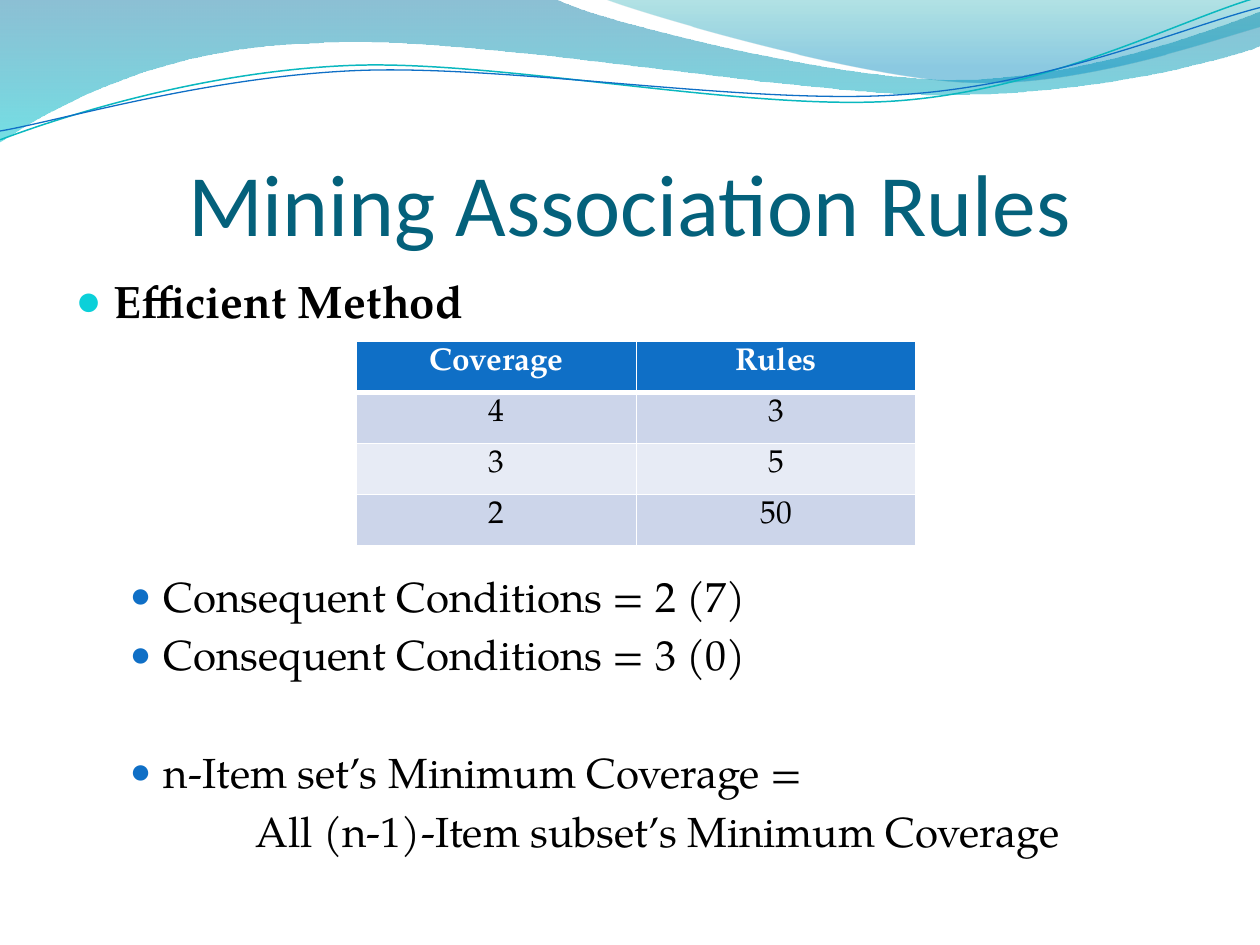
from dataclasses import dataclass
from math import cos, radians, sin
from typing import Optional

from lxml.etree import Element, SubElement
from pptx import Presentation
from pptx.dml.color import RGBColor
from pptx.enum.text import MSO_ANCHOR, MSO_AUTO_SIZE, PP_ALIGN
from pptx.oxml.ns import qn
from pptx.util import Inches, Pt

TEAL = RGBColor(0x04, 0x61, 0x7B)
CYAN = RGBColor(0x0B, 0xD0, 0xD9)
BLUE = RGBColor(0x0F, 0x6F, 0xC6)
GREEN = RGBColor(0x0A, 0xB8, 0xBF)
BLACK = RGBColor(0, 0, 0)
WHITE = RGBColor(0xFF, 0xFF, 0xFF)
BAND_DARK = RGBColor(0xCC, 0xD5, 0xEA)
BAND_LIGHT = RGBColor(0xE7, 0xEB, 0xF5)
TITLE_FONT = "Calibri"
BODY_FONT = "TeX Gyre Pagella"
LINE_PITCH = 33.4
TILT = 357.3
TILT_CENTER = (4.99, 0.58)


@dataclass
class Stop:
    position: float
    color: RGBColor
    opacity: int


@dataclass
class Wave:
    """Segments hold one end point, or two control points and an end point."""
    start: tuple
    segments: list
    stops: tuple = ()
    line_color: Optional[RGBColor] = None
    line_width: float = 0
    rotation: float = 0


@dataclass
class Item:
    text: str
    size: int
    left: float
    hanging: float = 0
    bullet_color: Optional[RGBColor] = None
    bullet_percent: int = 85
    level: int = 1
    bold: bool = False
    skipped_lines: int = 0


WAVES = [
    Wave((0, 0), [
        (4.4, -0.01),
        (4.76, 0.17, 6.64, 0.63, 7.58, 0.63),
        (8.53, 0.63, 9.58, 0.26, 10, 0.09),
        (10.01, 0.36),
        (9.83, 0.44, 8.7, 0.76, 7.46, 0.75),
        (6.22, 0.75, 3.82, 0.28, 2.57, 0.34),
        (1.29, 0.36, 0.46, 0.83, -0.01, 1.13),
        (0, 0),
    ], stops=(Stop(0, RGBColor(0x00, 0x74, 0xA1), 45), Stop(1, RGBColor(0x00, 0xC6, 0xCF), 55))),
    Wave((4.79, -0.01), [
        (5.09, 0.11, 6.82, 0.62, 7.69, 0.65),
        (8.56, 0.69, 9.61, 0.32, 10, 0.21),
        (10, 0),
        (4.79, -0.01),
    ], stops=(Stop(0, RGBColor(0x00, 0xA1, 0xA9), 30), Stop(0.8, RGBColor(0x00, 0x8B, 0xBF), 45))),
    Wave((0, 1.11), [
        (0.48, 0.93, 1.58, 0.57, 2.77, 0.52),
        (3.95, 0.47, 5.93, 0.89, 7.13, 0.8),
        (8.33, 0.71, 9.38, 0.15, 9.98, -0.02),
    ], line_color=GREEN, line_width=0.85, rotation=TILT),
    Wave((0, 1.04), [
        (0.47, 0.96, 1.64, 0.61, 2.83, 0.56),
        (4.03, 0.51, 5.97, 0.84, 7.17, 0.75),
        (8.36, 0.67, 9.41, 0.21, 10, 0.06),
    ], line_color=BLUE, line_width=0.75, rotation=TILT),
]

ITEMS = [
    Item("Efficient Method", 26, 0.3, 0.3, CYAN, 95, level=0, bold=True),
    Item("Consequent Conditions = 2 (7)", 24, 0.7, 0.27, BLUE, skipped_lines=4),
    Item("Consequent Conditions = 3 (0)", 24, 0.7, 0.27, BLUE),
    Item("n-Item set’s Minimum Coverage =", 24, 0.7, 0.27, BLUE, skipped_lines=1),
    Item("All (n-1)-Item subset’s Minimum Coverage", 24, 1.43),
]

ROWS = [("Coverage", "Rules"), ("4", "3"), ("3", "5"), ("2", "50")]


def level_points(numbers: tuple, rotation: float) -> list:
    """Pair up coordinates as they lie before the shape is rotated."""
    angle = radians(-rotation)
    points = []
    for x, y in zip(numbers[::2], numbers[1::2]):
        across, down = x - TILT_CENTER[0], y - TILT_CENTER[1]
        points.append((Inches(TILT_CENTER[0] + across * cos(angle) - down * sin(angle)),
                       Inches(TILT_CENTER[1] + across * sin(angle) + down * cos(angle))))
    return points


def bend(shape, segments: list) -> None:
    """Turn the straight segments that have control points into cubic curves."""
    for straight, points in zip(list(shape.element.iter(qn("a:lnTo"))), segments):
        if len(points) == 3:
            curve = Element(qn("a:cubicBezTo"))
            for x, y in points:
                SubElement(curve, qn("a:pt"), x=str(x - shape.left), y=str(y - shape.top))
            straight.getparent().replace(straight, curve)


def draw_wave(page, wave: Wave) -> None:
    start = level_points(wave.start, wave.rotation)[0]
    segments = [level_points(segment, wave.rotation) for segment in wave.segments]
    builder = page.shapes.build_freeform(*start)
    builder.add_line_segments([points[-1] for points in segments], close=bool(wave.stops))
    shape = builder.convert_to_shape()
    bend(shape, segments)
    shape.rotation = wave.rotation
    shape.shadow.inherit = False
    if not wave.stops:
        shape.fill.background()
        shape.line.color.rgb = wave.line_color
        shape.line.width = Pt(wave.line_width)
        return
    shape.line.fill.background()
    shape.fill.gradient()
    shape.fill.gradient_angle = 270
    for target, stop in zip(shape.fill.gradient_stops, wave.stops):
        target.position = stop.position
        target.color.rgb = stop.color
    for color, stop in zip(shape.element.iter(qn("a:srgbClr")), wave.stops):
        SubElement(color, qn("a:alpha"), val=str(stop.opacity * 1000))


def place(box, left: float, top: float, width: float, height: float) -> None:
    box.left, box.top = Inches(left), Inches(top)
    box.width, box.height = Inches(width), Inches(height)
    box.text_frame.auto_size = MSO_AUTO_SIZE.NONE
    box.text_frame.word_wrap = True


def add_span(para, text: str, font: str, size: int, color: RGBColor, bold: bool = False) -> None:
    span = para.add_run()
    span.text = text
    span.font.name = font
    span.font.size = Pt(size)
    span.font.color.rgb = color
    span.font.bold = bold


def write_item(para, item: Item) -> None:
    para.level = item.level
    para.alignment = PP_ALIGN.LEFT
    para.space_before = Pt(round(item.size * 0.2 + item.skipped_lines * LINE_PITCH, 1))
    properties = para._p.get_or_add_pPr()
    properties.set("marL", str(Inches(item.left)))
    properties.set("indent", str(-Inches(item.hanging)))
    if item.bullet_color is None:
        SubElement(properties, qn("a:buNone"))
    else:
        color = SubElement(properties, qn("a:buClr"))
        SubElement(color, qn("a:srgbClr"), val=str(item.bullet_color))
        SubElement(properties, qn("a:buSzPct"), val=str(item.bullet_percent * 1000))
        SubElement(properties, qn("a:buChar"), char="●")
    add_span(para, item.text, BODY_FONT, item.size, BLACK, item.bold)


def set_borders(cell, top: float, bottom: float) -> None:
    properties = cell._tc.get_or_add_tcPr()
    for side, width in (("lnL", 1), ("lnR", 1), ("lnT", top), ("lnB", bottom)):
        border = SubElement(properties, qn(f"a:{side}"), w=str(Pt(width)))
        fill = SubElement(border, qn("a:solidFill"))
        SubElement(fill, qn("a:srgbClr"), val=str(WHITE))


def draw_table(page) -> None:
    table = page.shapes.add_table(len(ROWS), len(ROWS[0]), Inches(2.83), Inches(2.71),
                                  Inches(4.44), Inches(1.62)).table
    for row, texts in enumerate(ROWS):
        header = row == 0
        for column, text in enumerate(texts):
            cell = table.cell(row, column)
            set_borders(cell, top=3 if row == 1 else 1, bottom=3 if header else 1)
            cell.fill.solid()
            cell.fill.fore_color.rgb = BLUE if header else BAND_DARK if row % 2 else BAND_LIGHT
            para = cell.text_frame.paragraphs[0]
            para.alignment = PP_ALIGN.CENTER
            add_span(para, text, BODY_FONT, 18, WHITE if header else BLACK, header)


def main() -> None:
    deck = Presentation()
    deck.slide_width, deck.slide_height = Inches(10), Inches(7.5)
    page = deck.slides.add_slide(deck.slide_layouts[1])
    title, body = page.shapes.title, page.placeholders[1]
    for wave in WAVES:
        draw_wave(page, wave)
    for box in (title, body):  # text goes in front of the waves
        box.element.getparent().append(box.element)
    place(title, 0.5, 0.77, 9, 1.25)
    frame = title.text_frame
    frame.vertical_anchor = MSO_ANCHOR.BOTTOM
    frame.margin_left = frame.margin_right = frame.margin_bottom = 0
    frame.paragraphs[0].alignment = PP_ALIGN.CENTER
    add_span(frame.paragraphs[0], "Mining Association Rules", TITLE_FONT, 50, TEAL)
    place(body, 0.5, 2.12, 9.5, 5.38)
    frame = body.text_frame
    for index, item in enumerate(ITEMS):
        write_item(frame.add_paragraph() if index else frame.paragraphs[0], item)
    draw_table(page)
    deck.save("out.pptx")


if __name__ == "__main__":
    main()
